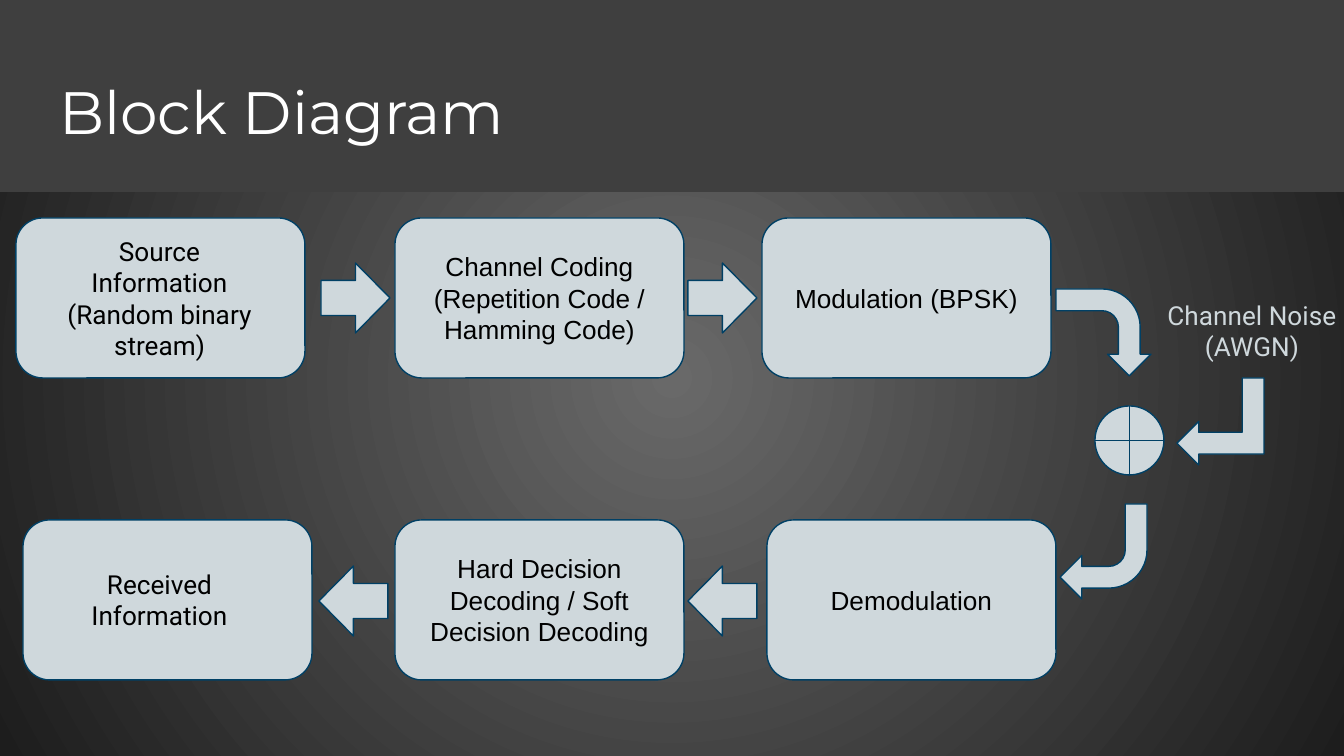
"""Build the block diagram slide of a coded communication chain."""
from dataclasses import dataclass

from lxml import etree
from pptx import Presentation
from pptx import util as u
from pptx.dml.color import RGBColor
from pptx.enum import shapes, text
from pptx.oxml import ns

PX = 914400 / 134.4
KIND = shapes.MSO_SHAPE


@dataclass(frozen=True)
class Theme:
    glow: str = "696969"
    edge: str = "1D1D1D"
    band: str = "3F3F3F"
    block: str = "CFD8DC"
    outline: str = "004065"
    ink: str = "000000"
    white: str = "FFFFFF"
    title_font: str = "Montserrat"
    block_font: str = "Arial"
    label_font: str = "Roboto"
    title_size: int = 32
    body_size: int = 14
    line_width: float = 0.75


THEME = Theme()


def px(*lengths):
    return [u.Emu(round(length * PX)) for length in lengths]


def assign(target, values):
    for name, value in values.items():
        setattr(target, name, value)


def write(box, lines, font, size, color, align, anchor):
    frame = box.text_frame
    inset = u.Inches(0.1)
    assign(frame, {
        "word_wrap": True,
        "auto_size": text.MSO_AUTO_SIZE.NONE,
        "vertical_anchor": anchor,
        "margin_left": inset,
        "margin_right": inset,
        "margin_top": inset,
        "margin_bottom": inset,
    })
    for index, line in enumerate(lines):
        para = frame.add_paragraph() if index else frame.paragraphs[0]
        para.alignment = align
        span = para.add_run()
        span.text = line
        assign(span.font, {"name": font, "size": u.Pt(size)})
        span.font.color.rgb = RGBColor.from_string(color)


def add_shape(page, kind, area, fill=THEME.block, outline=THEME.outline,
              turn=0, flip=False, adjust=()):
    shape = page.shapes.add_shape(kind, *px(*area))
    shape.shadow.inherit = False
    shape.rotation = turn
    shape.fill.solid()
    shape.fill.fore_color.rgb = RGBColor.from_string(fill)
    if outline:
        shape.line.color.rgb = RGBColor.from_string(outline)
        shape.line.width = u.Pt(THEME.line_width)
    else:
        shape.line.fill.background()
    if flip:
        shape._element.spPr.xfrm.set("flipH", "1")
    for index, value in enumerate(adjust):
        shape.adjustments[index] = value
    return shape


def add_block(page, left, top, caption=None):
    block = add_shape(page, KIND.ROUNDED_RECTANGLE, (left, top, 289, 160))
    if caption:
        write(block, [caption], THEME.block_font, THEME.body_size, THEME.ink,
              text.PP_ALIGN.CENTER, text.MSO_ANCHOR.MIDDLE)


def add_label(page, area, lines, color=THEME.ink):
    box = page.shapes.add_textbox(*px(*area))
    write(box, lines, THEME.label_font, THEME.body_size, color,
          text.PP_ALIGN.CENTER, text.MSO_ANCHOR.TOP)


def add_backdrop(page):
    glow = add_shape(page, KIND.RECTANGLE, (0, 0, 1344, 756), outline=None)
    glow.fill.gradient()
    for stop, color in zip(glow.fill.gradient_stops, (THEME.glow, THEME.edge)):
        stop.color.rgb = RGBColor.from_string(color)
    gradient = glow._element.spPr.find(ns.qn("a:gradFill"))
    gradient.remove(gradient.find(ns.qn("a:lin")))
    route = etree.SubElement(gradient, ns.qn("a:path"), {"path": "circle"})
    etree.SubElement(route, ns.qn("a:fillToRect"),
                     dict.fromkeys("ltrb", "50000"))
    band = add_shape(page, KIND.RECTANGLE, (0, 0, 1344, 192),
                     fill=THEME.band, outline=None)
    for depth, shape in enumerate((glow, band), start=2):
        page.shapes._spTree.insert(depth, shape._element)


def add_title(page, caption):
    title = page.shapes.title
    names = ("left", "top", "width", "height")
    assign(title, dict(zip(names, px(46, -20, 1199, 180))))
    write(title, [caption], THEME.title_font, THEME.title_size, THEME.white,
          text.PP_ALIGN.LEFT, text.MSO_ANCHOR.BOTTOM)


def main():
    deck = Presentation()
    deck.slide_width, deck.slide_height = px(1344, 756)
    page = deck.slides.add_slide(deck.slide_layouts[5])
    add_backdrop(page)
    add_title(page, "Block Diagram")

    for left, top, caption in (
        (16, 218, None),
        (395, 218, "Channel Coding (Repetition Code / Hamming Code)"),
        (762, 218, "Modulation (BPSK)"),
        (767, 520, "Demodulation"),
        (395, 520, "Hard Decision Decoding / Soft Decision Decoding"),
        (23, 520, None),
    ):
        add_block(page, left, top, caption)

    for left, top, flip in ((321, 263, False), (688, 263, False),
                            (688, 566, True), (319, 566, True)):
        add_shape(page, KIND.RIGHT_ARROW, (left, top, 69, 70), flip=flip)
    for top, turn in ((285, 90), (504, 180)):
        add_shape(page, KIND.BENT_ARROW, (1060, top, 87, 95), turn=turn,
                  adjust=(0.25, 0.25, 0.25, 0.44))
    add_shape(page, KIND.BENT_UP_ARROW, (1177, 378, 87, 87), turn=270,
              flip=True)
    add_shape(page, KIND.FLOWCHART_OR, (1095, 406, 69, 69))

    add_label(page, (40, 222, 239, 153),
              ["Source Information", "(Random binary stream)"])
    add_label(page, (40, 555, 239, 90), ["Received", "Information"])
    add_label(page, (1142, 286, 220, 90), ["Channel Noise (AWGN)"],
              THEME.block)
    deck.save("out.pptx")


if __name__ == "__main__":
    main()
